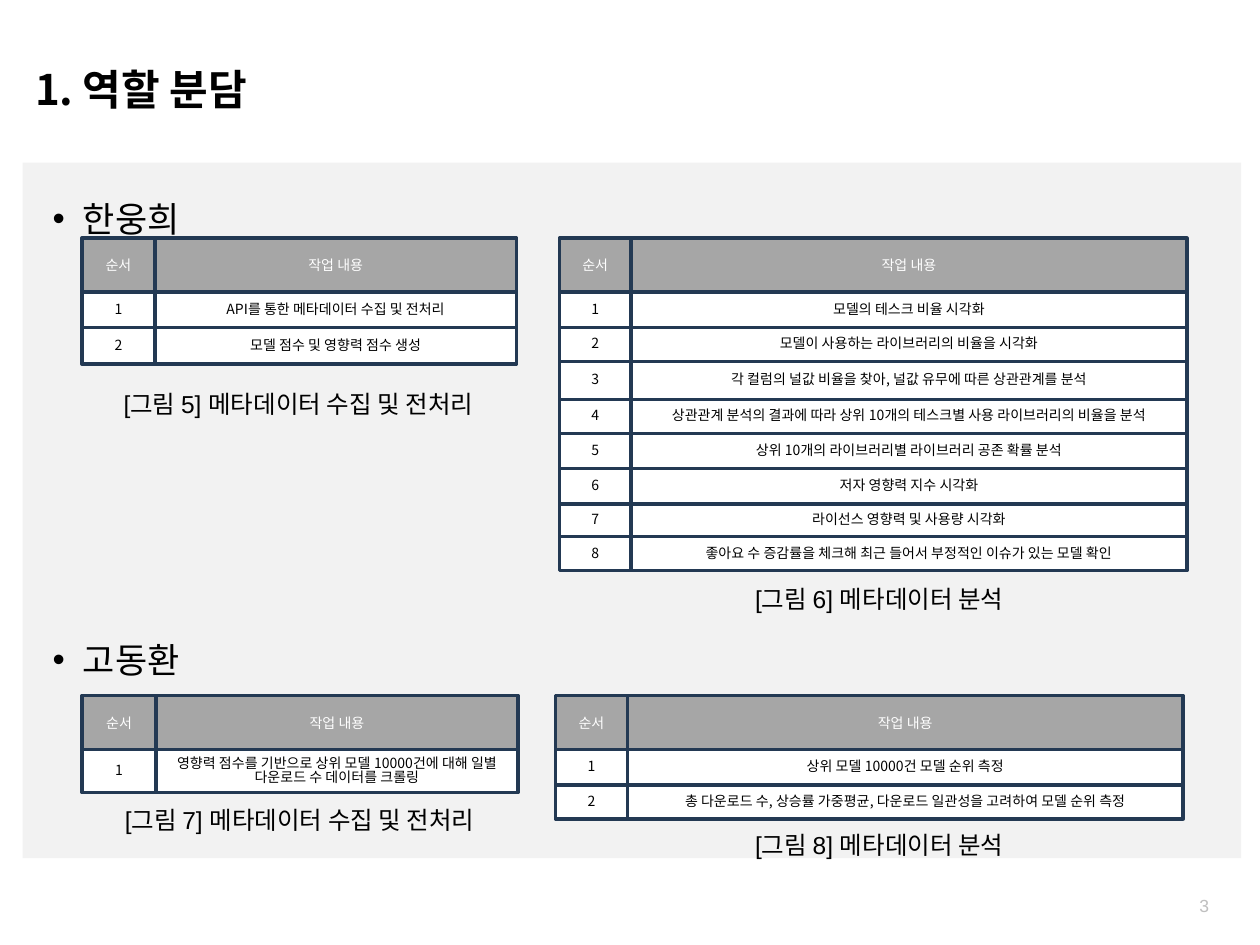
from pptx import Presentation
from pptx.dml.color import RGBColor
from pptx.enum.shapes import MSO_SHAPE
from pptx.enum.text import MSO_ANCHOR, PP_ALIGN
from pptx.oxml import parse_xml
from pptx.oxml.ns import nsdecls
from pptx.util import Inches, Pt

GOTHIC = "Noto Sans CJK KR"
SANS = "Arial"


def color(hex_value):
    return RGBColor.from_string(hex_value)


class RoleSlide:
    ink = "000000"
    paper = "FFFFFF"
    panel_fill = "F2F2F2"
    header_fill = "A6A6A6"
    border = "233953"
    page_ink = "BFBFBF"

    def __init__(self, deck):
        self.slide = deck.slides.add_slide(deck.slide_layouts[6])

    def style(self, paragraph, size, font, ink, bold=False, align=PP_ALIGN.LEFT):
        paragraph.alignment = align
        paragraph.font.size = Pt(size)
        paragraph.font.name = font
        paragraph.font.bold = bold
        paragraph.font.color.rgb = color(ink)

    def rectangle(self, left, top, width, height, fill):
        shape = self.slide.shapes.add_shape(
            MSO_SHAPE.RECTANGLE, Inches(left), Inches(top), Inches(width), Inches(height))
        shape.shadow.inherit = False
        shape.fill.solid()
        shape.fill.fore_color.rgb = color(fill)
        return shape

    def panel(self, left, top, width, height):
        self.rectangle(left, top, width, height, self.panel_fill).line.fill.background()

    def frame(self, left, top, width, height, anchor=MSO_ANCHOR.MIDDLE):
        box = self.slide.shapes.add_textbox(
            Inches(left), Inches(top), Inches(width), Inches(height))
        frame = box.text_frame
        frame.word_wrap = True
        frame.vertical_anchor = anchor
        return frame

    def text(self, words, left, top, width, height, size, font, ink=ink, **options):
        paragraph = self.frame(left, top, width, height).paragraphs[0]
        paragraph.text = words
        self.style(paragraph, size, font, ink, **options)

    def caption(self, words, left, top):
        self.text(words, left, top, 3.46, 0.23, 14, SANS, align=PP_ALIGN.CENTER)

    def members(self, names, left, top, width, height, gap):
        frame = self.frame(left, top, width, height, MSO_ANCHOR.TOP)
        for index, name in enumerate(names):
            paragraph = frame.paragraphs[0] if index == 0 else frame.add_paragraph()
            paragraph.text = name
            self.style(paragraph, 20, GOTHIC, self.ink)
            paragraph.line_spacing = 1.5
            paragraph.space_before = Pt(gap if index else 0)
            properties = paragraph._p.get_or_add_pPr()
            properties.set("marL", str(Inches(0.38)))
            properties.set("indent", str(Inches(-0.24)))
            for bullet in (f'buFont {nsdecls("a")} typeface="{SANS}"',
                           f'buChar {nsdecls("a")} char="•"'):
                properties.insert_element_before(
                    parse_xml(f"<a:{bullet}/>"), "a:tabLst", "a:defRPr", "a:extLst")

    def cell(self, words, left, top, width, height, fill, ink, spacing):
        cell = self.rectangle(left, top, width, height, fill)
        cell.line.color.rgb = color(self.border)
        cell.line.width = Pt(2)
        frame = cell.text_frame
        frame.word_wrap = True
        frame.vertical_anchor = MSO_ANCHOR.MIDDLE
        frame.margin_top = frame.margin_bottom = 0
        paragraph = frame.paragraphs[0]
        paragraph.text = words
        paragraph.line_spacing = spacing
        self.style(paragraph, 8, GOTHIC, ink, align=PP_ALIGN.CENTER)

    def task_grid(self, tasks, left, top, task_width, heights, number_width=0.58):
        rows = [("순서", "작업 내용")] + [(str(n), task) for n, task in enumerate(tasks, 1)]
        for index, ((number, task), height) in enumerate(zip(rows, [0.43] + heights)):
            look = (self.paper, self.ink, 0.85) if index else (self.header_fill, self.paper, 1.0)
            self.cell(number, left, top, number_width, height, *look)
            self.cell(task, left + number_width, top, task_width, height, *look)
            top += height


def main():
    deck = Presentation()
    deck.slide_width, deck.slide_height = Inches(10), Inches(7.5)
    page = RoleSlide(deck)

    page.panel(0.18, 1.29, 9.67, 5.52)
    page.text("1. 역할 분담", 0.18, 0.45, 9.67, 0.51, 24, GOTHIC, bold=True)
    page.text("3", 9.42, 7.06, 0.43, 0.26, 10, SANS, page.page_ink)
    page.members(["한웅희", "고동환"], 0.18, 1.35, 9.64, 5.36, gap=216)

    page.task_grid([
        "API를 통한 메타데이터 수집 및 전처리",
        "모델 점수 및 영향력 점수 생성",
    ], 0.65, 1.89, 2.87, [0.28, 0.29])
    page.task_grid([
        "모델의 테스크 비율 시각화",
        "모델이 사용하는 라이브러리의 비율을 시각화",
        "각 컬럼의 널값 비율을 찾아, 널값 유무에 따른 상관관계를 분석",
        "상관관계 분석의 결과에 따라 상위 10개의 테스크별 사용 라이브러리의 비율을 분석",
        "상위 10개의 라이브러리별 라이브러리 공존 확률 분석",
        "저자 영향력 지수 시각화",
        "라이선스 영향력 및 사용량 시각화",
        "좋아요 수 증감률을 체크해 최근 들어서 부정적인 이슈가 있는 모델 확인",
    ], 4.44, 1.89, 4.41, [0.28, 0.27, 0.3, 0.27, 0.28, 0.28, 0.26, 0.27], 0.57)
    page.task_grid([
        "영향력 점수를 기반으로 상위 모델 10000건에 대해 일별 다운로드 수 데이터를 크롤링",
    ], 0.65, 5.52, 2.87, [0.34], 0.59)
    page.task_grid([
        "상위 모델 10000건 모델 순위 측정",
        "총 다운로드 수, 상승률 가중평균, 다운로드 일관성을 고려하여 모델 순위 측정",
    ], 4.41, 5.52, 4.41, [0.28, 0.27], 0.57)

    page.caption("[그림 5] 메타데이터 수집 및 전처리", 0.64, 3.09)
    page.caption("[그림 6] 메타데이터 분석", 5.25, 4.64)
    page.caption("[그림 7] 메타데이터 수집 및 전처리", 0.65, 6.39)
    page.caption("[그림 8] 메타데이터 분석", 5.25, 6.59)

    deck.save("out.pptx")


if __name__ == "__main__":
    main()
